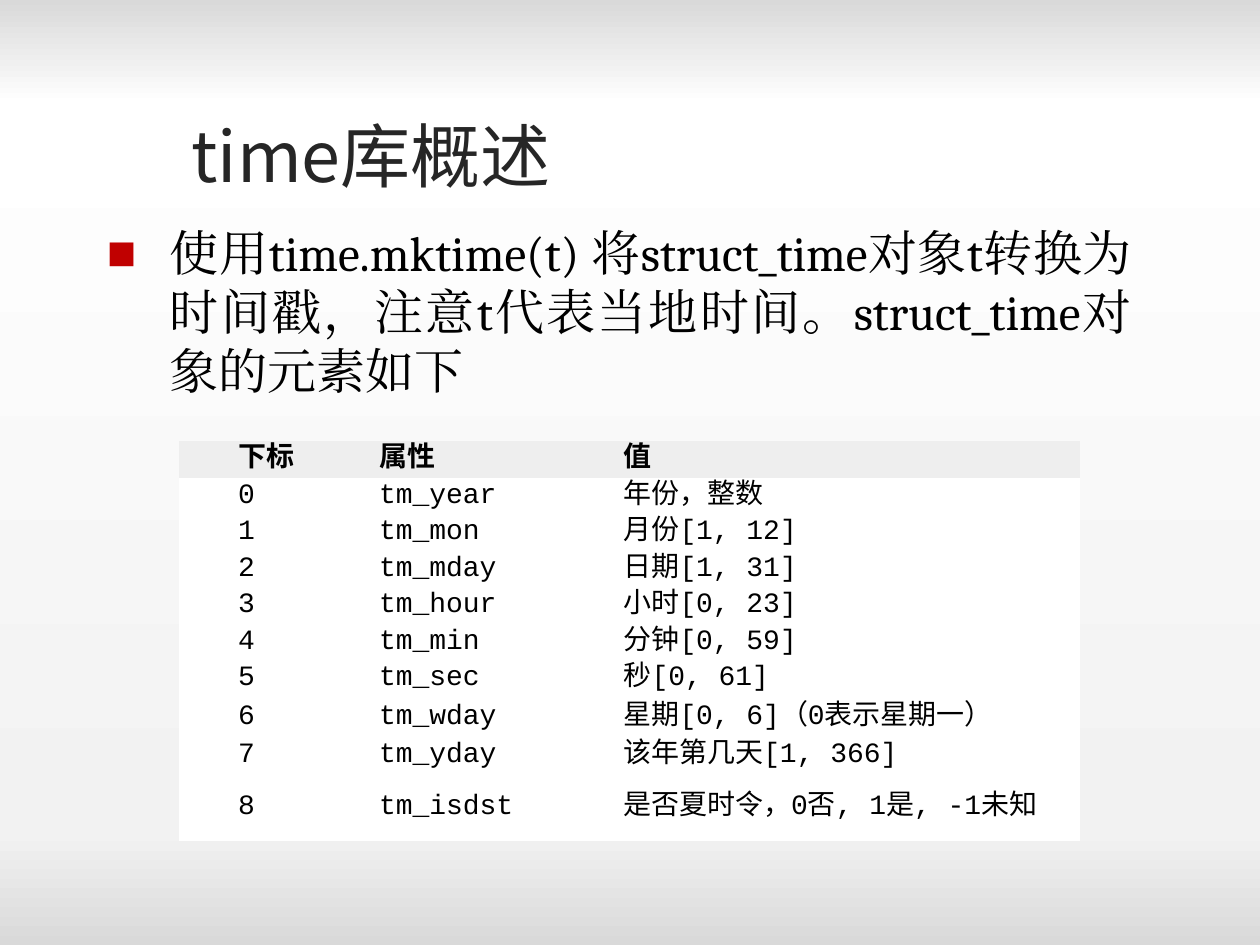
from lxml.etree import SubElement
from pptx import Presentation
from pptx.dml.color import RGBColor
from pptx.enum.text import MSO_ANCHOR, PP_ALIGN
from pptx.oxml.ns import qn
from pptx.util import Inches, Pt

TITLE = "time库概述"
BODY = "使用time.mktime(t) 将struct_time对象t转换为时间戳，注意t代表当地时间。struct_time对象的元素如下"
ROWS = [
    ("下标", "属性", "值"),
    ("0", "tm_year", "年份，整数"),
    ("1", "tm_mon", "月份[1, 12]"),
    ("2", "tm_mday", "日期[1, 31]"),
    ("3", "tm_hour", "小时[0, 23]"),
    ("4", "tm_min", "分钟[0, 59]"),
    ("5", "tm_sec", "秒[0, 61]"),
    ("6", "tm_wday", "星期[0, 6]（0表示星期一）"),
    ("7", "tm_yday", "该年第几天[1, 366]"),
    ("8", "tm_isdst", ("是否夏时令，", "0否, 1是, -1未知")),
]
COLUMN_WIDTHS = (1.12, 1.94, 4.09)
ROW_HEIGHT = 0.28
TALL_ROWS = {7: 0.32, 9: 0.4}
COLORS = {
    "title": "262626", "text": "000000", "bullet": "C00000",
    "header": "EEEEEE", "row": "FFFFFF",
}
BACKGROUND_STOPS = [(0, "D9D9D9"), (11, "FFFFFF"), (88, "F2F2F2"), (100, "D9D9D9")]


def format_run(run, size, font, color, bold=False):
    run.font.size = Pt(size)
    run.font.name = font
    run.font.bold = bold
    run.font.color.rgb = RGBColor.from_string(COLORS[color])
    SubElement(run.font._element, qn("a:ea"), typeface=font)


def set_indent(paragraph, left, first_line):
    properties = paragraph._p.get_or_add_pPr()
    properties.set("marL", str(Inches(left)))
    properties.set("indent", str(Inches(first_line)))
    return properties


def paint_background(slide):
    fill = slide.background.fill
    fill.gradient()
    fill.gradient_angle = 270
    stop_list = slide.background._cSld.find(".//" + qn("a:gsLst"))
    for stop in list(stop_list):
        stop_list.remove(stop)
    for position, color in BACKGROUND_STOPS:
        stop = SubElement(stop_list, qn("a:gs"), pos=str(position * 1000))
        SubElement(stop, qn("a:srgbClr"), val=color)


def add_title(slide):
    title = slide.shapes.title
    title.left, title.top = Inches(1.42), Inches(0.84)
    title.width, title.height = Inches(7.84), Inches(0.77)
    title.text_frame.text = TITLE
    title.text_frame.vertical_anchor = MSO_ANCHOR.MIDDLE
    paragraph = title.text_frame.paragraphs[0]
    paragraph.alignment = PP_ALIGN.LEFT
    format_run(paragraph.runs[0], 40, "Noto Sans CJK SC", "title")


def add_body(slide):
    box = slide.shapes.add_textbox(Inches(0.75), Inches(1.72), Inches(8.33), Inches(1.51))
    box.text_frame.word_wrap = True
    box.text_frame.text = BODY
    paragraph = box.text_frame.paragraphs[0]
    paragraph.alignment = PP_ALIGN.JUSTIFY
    properties = set_indent(paragraph, 0.5, -0.5)
    bullet_color = SubElement(properties, qn("a:buClr"))
    SubElement(bullet_color, qn("a:srgbClr"), val=COLORS["bullet"])
    SubElement(properties, qn("a:buFont"), typeface="Arial")
    SubElement(properties, qn("a:buChar"), char="■")
    format_run(paragraph.runs[0], 28, "Cambria", "text")


def fill_cell(cell, content, is_header):
    cell.fill.solid()
    cell.fill.fore_color.rgb = RGBColor.from_string(COLORS["header" if is_header else "row"])
    cell.margin_left = cell.margin_right = Inches(0.03)
    cell.margin_top = cell.margin_bottom = Inches(0.02)
    cell.vertical_anchor = MSO_ANCHOR.MIDDLE
    paragraph = cell.text_frame.paragraphs[0]
    paragraph.alignment = PP_ALIGN.JUSTIFY
    paragraph.line_spacing = Pt(18)
    set_indent(paragraph, 0.29, 0.15)
    parts = [(content, "Courier New")]
    if isinstance(content, tuple):
        parts = zip(content, ("Calibri", "Courier New"))
    for text, font in parts:
        run = paragraph.add_run()
        run.text = text
        format_run(run, 16, font, "text", is_header)


def add_fields_table(slide):
    heights = [TALL_ROWS.get(index, ROW_HEIGHT) for index in range(len(ROWS))]
    table = slide.shapes.add_table(
        len(ROWS), len(COLUMN_WIDTHS), Inches(1.42), Inches(3.5),
        Inches(sum(COLUMN_WIDTHS)), Inches(sum(heights)),
    ).table
    for column, width in zip(table.columns, COLUMN_WIDTHS):
        column.width = Inches(width)
    table.horz_banding = False
    style = table._tbl.tblPr.find(qn("a:tableStyleId"))
    style.text = "{2D5ABB26-0587-4C30-8999-92F81FD0307C}"
    for index, (row, height, contents) in enumerate(zip(table.rows, heights, ROWS)):
        row.height = Inches(height)
        for cell, content in zip(row.cells, contents):
            fill_cell(cell, content, index == 0)


presentation = Presentation()
presentation.slide_width, presentation.slide_height = Inches(10), Inches(7.5)
slide = presentation.slides.add_slide(presentation.slide_layouts[5])
paint_background(slide)
add_body(slide)
add_title(slide)
add_fields_table(slide)
presentation.save("out.pptx")
